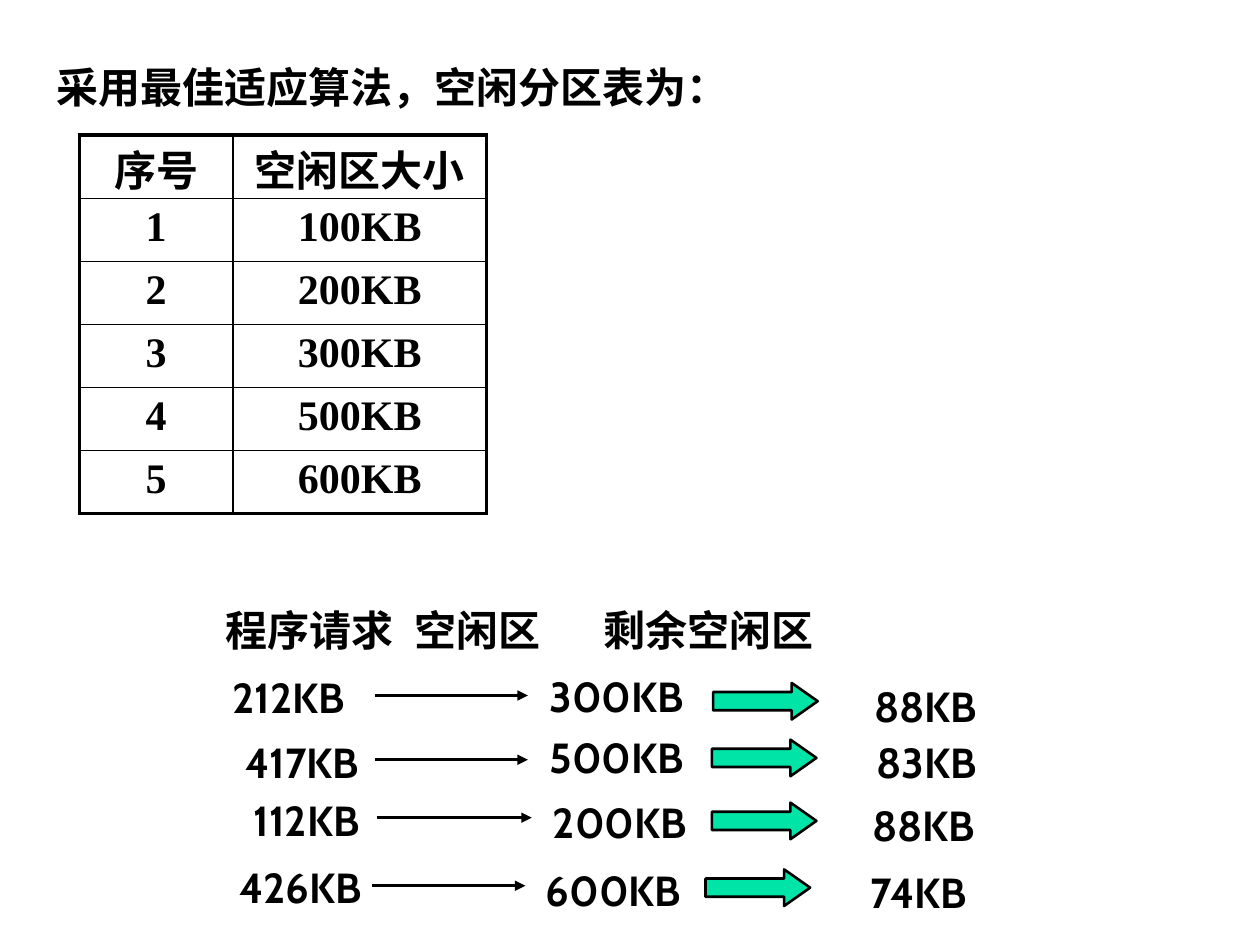
"""Build the best-fit memory allocation slide."""
from lxml import etree
from pptx import Presentation
from pptx.dml.color import RGBColor
from pptx.enum.shapes import MSO_CONNECTOR, MSO_SHAPE
from pptx.enum.text import MSO_ANCHOR, MSO_AUTO_SIZE, PP_ALIGN
from pptx.oxml import parse_xml
from pptx.oxml.ns import nsdecls, qn
from pptx.util import Inches, Pt

ARROW = MSO_SHAPE.RIGHT_ARROW
STRAIGHT = MSO_CONNECTOR.STRAIGHT
TOP, BOTTOM = MSO_ANCHOR.TOP, MSO_ANCHOR.BOTTOM
NO_FIT = MSO_AUTO_SIZE.NONE
LEFT, CENTER = PP_ALIGN.LEFT, PP_ALIGN.CENTER
BLACK, GREEN = "000000", "00E4A8"


def color(value):
    """Turn a hex string into a colour."""
    return RGBColor.from_string(value)


def write(frame, text, font="Cabin", align=CENTER, anchor=TOP):
    """Put one bold line of text into a frame."""
    frame.text = text
    frame.vertical_anchor = anchor
    para = frame.paragraphs[0]
    para.alignment = align
    for span in para.runs:
        span.font.name = font
        span.font.size = Pt(24)
        span.font.bold = True
        span.font.color.rgb = color(BLACK)


deck = Presentation()
deck.slide_width, deck.slide_height = Inches(10), Inches(7.5)
page = deck.slides.add_slide(deck.slide_layouts[5])

title = page.shapes.title
title.left, title.top = Inches(0.35), Inches(0.44)
title.width, title.height = Inches(7.21), Inches(0.5)
write(title.text_frame, "采用最佳适应算法，空闲分区表为：", align=LEFT)
title.text_frame.auto_size = NO_FIT

partitions = [
    ("序号", "空闲区大小"),
    ("1", "100KB"),
    ("2", "200KB"),
    ("3", "300KB"),
    ("4", "500KB"),
    ("5", "600KB"),
]
last_row = len(partitions) - 1
table = page.shapes.add_table(
    len(partitions), 2, Inches(0.63), Inches(1.07), Inches(3.23), Inches(3)
).table
table.first_row = table.horz_banding = False
table.columns[0].width, table.columns[1].width = Inches(1.22), Inches(2.01)
for row, values in enumerate(partitions):
    table.rows[row].height = Inches(0.5)
    for column, value in enumerate(values):
        cell = table.cell(row, column)
        write(cell.text_frame, value, "Times New Roman")
        if row == 0:
            cell.margin_top, cell.margin_bottom = Inches(0.02), 0
            cell.vertical_anchor = BOTTOM
        cell.fill.background()
        outer_edges = {
            "lnL": column == 0,
            "lnR": column == 1,
            "lnT": row == 0,
            "lnB": row == last_row,
        }
        for position, (edge, outer) in enumerate(outer_edges.items()):
            border = parse_xml(
                f'<a:{edge} {nsdecls("a")} w="{Pt(2.25 if outer else 1)}"><a:solidFill>'
                f'<a:srgbClr val="{BLACK}"/></a:solidFill></a:{edge}>'
            )
            cell._tc.get_or_add_tcPr().insert(position, border)

headings = page.shapes.add_textbox(Inches(1.69), Inches(4.75), Inches(7.29), Inches(0.5))
headings.text_frame.word_wrap = True
heading_para = headings.text_frame.paragraphs[0]
tab_list = etree.SubElement(heading_para._p.get_or_add_pPr(), qn("a:tabLst"))
for stop in (2.24, 4.22):
    etree.SubElement(tab_list, qn("a:tab"), pos=str(Inches(stop)), algn="l")
write(headings.text_frame, "程序请求\t空闲区\t剩余空闲区", align=LEFT)

allocations = [
    {
        "labels": [("212KB", 1.59, 5.28, 1.4), ("300KB", 4.13, 5.27, 1.53), ("88KB", 6.67, 5.35, 1.35)],
        "line": (2.98, 4.19, 5.52),
        "arrow": (5.66, 5.42),
    },
    {
        "labels": [("417KB", 1.7, 5.8, 1.4), ("500KB", 4.23, 5.76, 1.33), ("83KB", 6.7, 5.8, 1.31)],
        "line": (2.98, 4.19, 6.03),
        "arrow": (5.65, 5.87),
    },
    {
        "labels": [("112KB", 1.72, 6.26, 1.43), ("200KB", 4.22, 6.27, 1.4), ("88KB", 6.63, 6.3, 1.4)],
        "line": (2.99, 4.22, 6.49),
        "arrow": (5.65, 6.37),
    },
    {
        "labels": [("426KB", 1.67, 6.79, 1.43), ("600KB", 4.17, 6.81, 1.4), ("74KB", 6.59, 6.83, 1.4)],
        "line": (2.95, 4.17, 7.03),
        "arrow": (5.6, 6.9),
    },
]
for allocation in allocations:
    for text, left, top, width in allocation["labels"]:
        box = page.shapes.add_textbox(Inches(left), Inches(top), Inches(width), Inches(0.5))
        box.text_frame.word_wrap = True
        write(box.text_frame, text)

    start, end, height = map(Inches, allocation["line"])
    line = page.shapes.add_connector(STRAIGHT, start, height, end, height)
    line.line.color.rgb = color(BLACK)
    line.line.width = Pt(1.5)
    etree.SubElement(line.line._get_or_add_ln(), qn("a:tailEnd"), type="triangle")
    etree.SubElement(line._element.spPr, qn("a:effectLst"))

    left, top = map(Inches, allocation["arrow"])
    arrow = page.shapes.add_shape(ARROW, left, top, Inches(0.83), Inches(0.29))
    arrow.adjustments[0], arrow.adjustments[1] = 0.5, 0.71
    arrow.shadow.inherit = False
    arrow.fill.solid()
    arrow.fill.fore_color.rgb = color(GREEN)
    arrow.line.color.rgb = color(BLACK)
    arrow.line.width = Pt(1.5)

deck.save("out.pptx")
